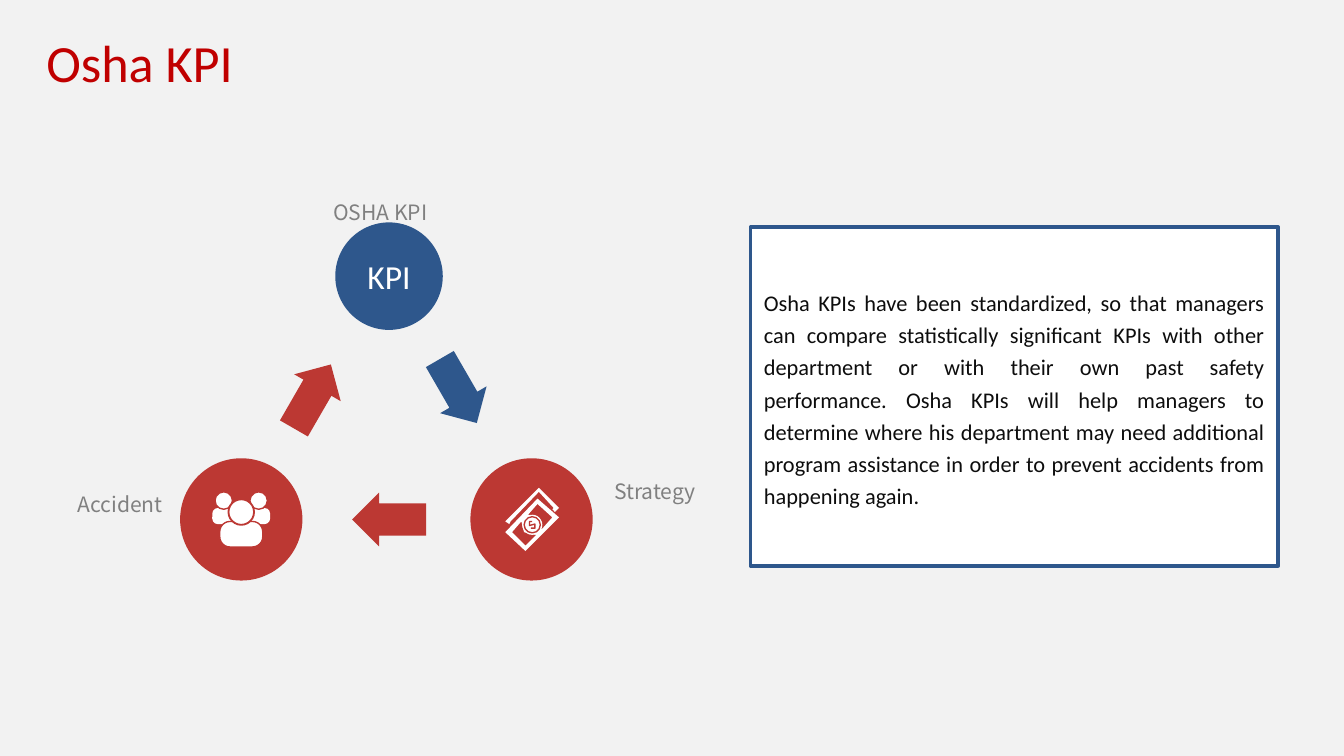
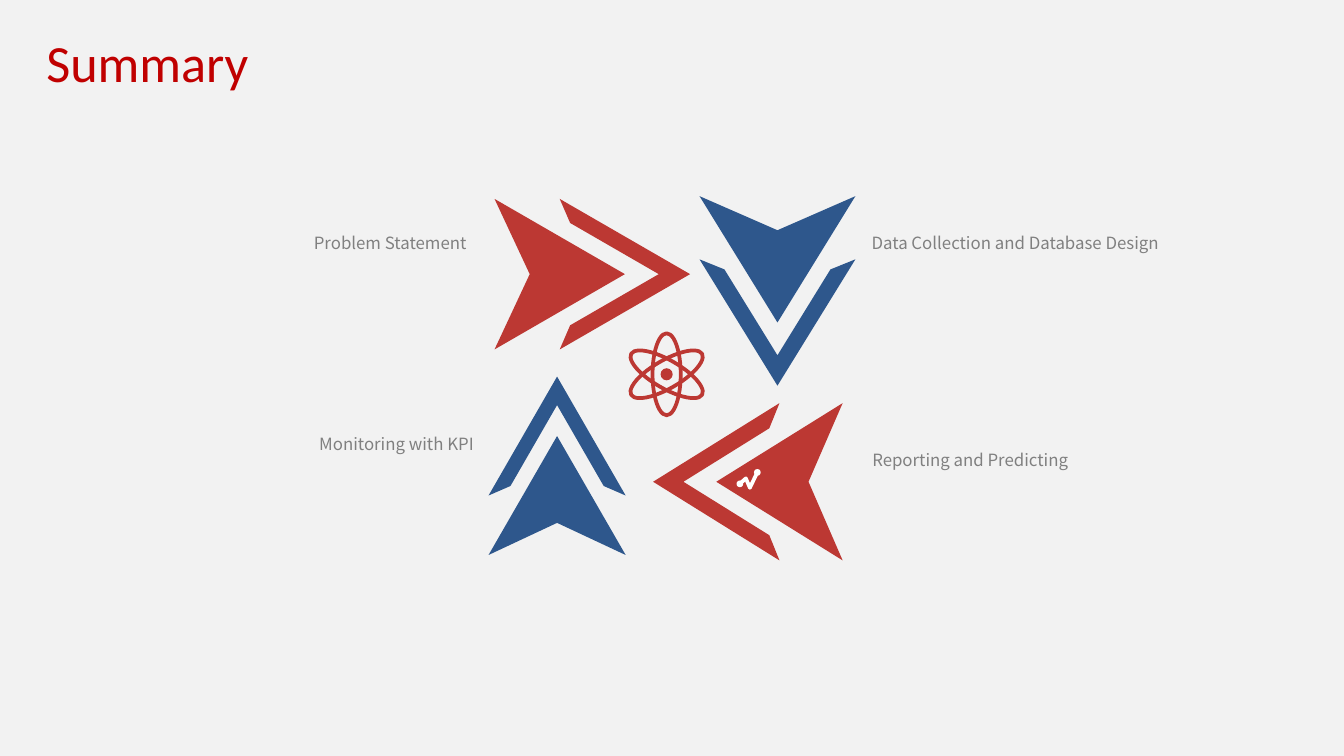
import math

import pptx
import pptx.dml.color
import pptx.enum.shapes
import pptx.enum.text
import pptx.util

RGBColor = pptx.dml.color.RGBColor
RED = RGBColor(0xBC, 0x38, 0x33)
BLUE = RGBColor(0x2E, 0x57, 0x8C)
TITLE_RED = RGBColor(0xC0, 0x00, 0x00)
GREY = RGBColor(0x80, 0x80, 0x80)
INK = RGBColor(0x0D, 0x0D, 0x0D)
WHITE = RGBColor(0xFF, 0xFF, 0xFF)
PAPER = RGBColor(0xF2, 0xF2, 0xF2)

MSO = pptx.enum.shapes.MSO_SHAPE
ALIGN = pptx.enum.text.PP_ALIGN
ANCHOR = pptx.enum.text.MSO_ANCHOR
Pt = pptx.util.Pt

COLS, ROWS = 100, 56.25
CELL = pptx.util.Inches(0.1)
HEADING, LABEL = "Calibri", "Noto Sans CJK SC"

# Along and across the pointing direction, as shares of head length and width
ARROWHEAD = [(0, -0.5), (1, 0), (0, 0.5), (0.27, 0)]
CHEVRON = [(0.5, -0.5), (0.58, -0.34), (1.26, 0), (0.58, 0.34), (0.5, 0.5), (1.5, 0)]


def grid(*cells):
    return [round(c * CELL) for c in cells]


def apply(target, values):
    for name, value in values.items():
        setattr(target, name, value)


class Deck:
    """Holds the style, the current slide and the shapes being drawn on."""

    def __init__(self):
        self.prs = pptx.Presentation()
        self.prs.slide_width, self.prs.slide_height = grid(COLS, ROWS)
        fill = self.prs.slide_master.background.fill
        fill.solid()
        fill.fore_color.rgb = PAPER

    def slide(self, title):
        self.s = self.prs.slides.add_slide(self.prs.slide_layouts[5])
        self.ungroup()
        sp = self.s.shapes.title
        self.place(sp, 2.45, 1.75, 34.7, 5.7)
        self.text(sp, title, HEADING, 28, TITLE_RED,
                  para=dict(alignment=ALIGN.LEFT),
                  frame=dict(vertical_anchor=ANCHOR.TOP))

    def group(self):
        self.shapes = self.s.shapes.add_group_shape().shapes

    def ungroup(self):
        self.shapes = self.s.shapes

    def place(self, sp, *box):
        apply(sp, dict(zip(("left", "top", "width", "height"), grid(*box))))

    def text(self, sp, text, font, size, color, para=None, frame=None):
        tf = sp.text_frame
        apply(tf, dict(auto_size=pptx.enum.text.MSO_AUTO_SIZE.NONE, word_wrap=True))
        apply(tf, frame or {})
        p = tf.paragraphs[0]
        apply(p, para or {})
        r = p.add_run()
        r.text = text
        apply(r.font, dict(name=font, size=Pt(size)))
        r.font.color.rgb = color

    def label(self, text, box, size, insets, **para):
        sp = self.shapes.add_textbox(*grid(*box))
        sides = ("margin_left", "margin_top", "margin_right", "margin_bottom")
        self.text(sp, text, LABEL, size, GREY, para, dict(zip(sides, grid(*insets))))

    def paint(self, sp, fill, line, width):
        sp.shadow.inherit = False
        for part, color in ((sp.fill, fill), (sp.line.fill, line)):
            if color is None:
                part.background()
            else:
                part.solid()
                part.fore_color.rgb = color
        if line is not None:
            sp.line.width = Pt(width)
        return sp

    def shape(self, kind, box, fill=None, line=None, width=1, turn=0, adjust=()):
        sp = self.shapes.add_shape(kind, *grid(*box))
        sp.rotation = turn
        for i, value in enumerate(adjust):
            sp.adjustments[i] = value
        return self.paint(sp, fill, line, width)

    def oval(self, x, y, w, h, fill=None, **style):
        """Ellipse given by its centre."""
        return self.shape(MSO.OVAL, (x - w / 2, y - h / 2, w, h), fill, **style)

    def outline(self, *contours, fill=None, line=None, width=1, close=True):
        """Freeform; contours after the first cut holes."""
        builder = None
        for contour in contours:
            start, *rest = [grid(*point) for point in contour]
            if builder is None:
                builder = self.shapes.build_freeform(*start, scale=1.0)
            else:
                builder.move_to(*start)
            builder.add_line_segments(rest, close=close)
        return self.paint(builder.convert_to_shape(), fill, line, width)

    def double_arrow(self, x, y, length, across, angle, color):
        """Arrowhead followed by a chevron, from the middle of the tail."""
        c, s = math.cos(math.radians(angle)), math.sin(math.radians(angle))
        self.group()
        for profile in (ARROWHEAD, CHEVRON):
            self.outline([(x + a * length * c - b * across * s,
                           y + a * length * s + b * across * c)
                          for a, b in profile], fill=color)

    def people(self, x, y):
        """Three busts around the middle of the icon."""
        for side in (-1, 1):
            self.shape(MSO.ROUNDED_RECTANGLE, (x + side * 1.3 - 0.85, y - 0.9, 1.7, 1.2),
                       WHITE, adjust=[0.35])
            self.oval(x + side * 1.3, y - 1.45, 1.3, 1.3, WHITE, line=RED, width=0.75)
        self.shape(MSO.ROUNDED_RECTANGLE, (x - 1.6, y + 0.1, 3.2, 1.9),
                   WHITE, line=RED, width=0.75, adjust=[0.4])
        self.oval(x, y - 0.6, 1.9, 1.9, WHITE, line=RED, width=1)

    def banknotes(self):
        self.outline([(37.6, 38.8), (37.9, 39), (38, 38.8), (40.1, 36.6), (41.2, 37.8),
                      (41.1, 37.9), (41.3, 38.1), (41.6, 37.8), (40.1, 36.3)], fill=WHITE)
        self.outline([(39.1, 41), (41.6, 38.5), (40, 37.1), (37.6, 39.6)],
                     [(40, 37.5), (41.1, 38.5), (40.3, 39.4), (40.1, 38.5), (39.3, 38.3)],
                     [(38.1, 39.6), (38.8, 38.8), (39, 39.6), (39.9, 39.8), (39.1, 40.6)],
                     fill=WHITE)
        self.oval(39.6, 39.05, 1.5, 1.5, WHITE)
        self.oval(39.6, 39.05, 1.2, 1.2, WHITE, line=RED, width=0.75)
        self.outline([(39.6, 38.8), (39.4, 38.8), (39.4, 39.1), (39.8, 39),
                      (39.8, 39.3), (39.5, 39.3)], line=RED, width=0.75, close=False)

    def atom(self, x, y):
        self.group()
        for turn in (0, 60, 120):
            self.oval(x, y, 2.1, 6.1, line=RED, width=2, turn=turn)
        self.oval(x, y, 0.9, 0.9, RED)

    def trend(self, points):
        self.outline(points, line=WHITE, width=2, close=False)
        for x, y in (points[0], points[-1]):
            self.oval(x, y, 0.5, 0.5, WHITE)


def kpi_slide(deck):
    deck.slide("Osha KPI")
    for x, y, turn, color in ((34.1, 29.1, 60, BLUE), (28.95, 38.65, 180, RED),
                              (23.25, 29.5, 300, RED)):
        deck.shape(MSO.RIGHT_ARROW, (x - 2.75, y - 2, 5.5, 4), color,
                   turn=turn, adjust=[0.6, 0.5])
    deck.group()
    deck.oval(17.95, 38.65, 9.1, 9.1, RED)
    deck.people(17.95, 38.7)
    deck.group()
    deck.oval(39.55, 38.65, 9.1, 9.1, RED)
    deck.banknotes()
    deck.ungroup()
    for text, box, left, right, align in (
            ("Strategy", (41.8, 35.1, 12.6, 2.5), 3.9, 1, ALIGN.LEFT),
            ("OSHA KPI", (23.8, 14.35, 10.3, 2.5), 1, 1, ALIGN.LEFT),
            ("Accident", (3.4, 36.1, 12.6, 2.5), 1, 3.9, ALIGN.RIGHT)):
        deck.label(text, box, 11.25, (left, 0.5, right, 0.5), alignment=align)
    sp = deck.oval(28.95, 20.55, 8, 8, BLUE)
    deck.text(sp, "KPI", HEADING, 18, WHITE, dict(alignment=ALIGN.CENTER),
              dict(vertical_anchor=ANCHOR.MIDDLE, word_wrap=False))
    sp = deck.shape(MSO.RECTANGLE, (55.85, 16.9, 39.25, 25.2), WHITE, line=BLUE, width=2)
    deck.text(sp, "Osha KPIs have been standardized, so that managers can compare "
              "statistically significant KPIs with other department or with their own "
              "past safety performance. Osha KPIs will help managers to determine where "
              "his department may need additional program assistance in order to prevent "
              "accidents from happening again.", HEADING, 12, INK,
              dict(alignment=ALIGN.JUSTIFY, line_spacing=1.2),
              dict(vertical_anchor=ANCHOR.MIDDLE))


def summary_slide(deck):
    deck.slide("Summary")
    deck.double_arrow(36.8, 20.4, 9.7, 11.2, 0, RED)
    deck.atom(49.6, 27.85)
    deck.double_arrow(41.45, 41.3, 8.85, 10.2, 270, BLUE)
    deck.double_arrow(62.7, 35.85, 9.4, 11.7, 180, RED)
    deck.trend([(55.05, 36), (55.5, 35.6), (55.8, 36.3), (56.35, 35.15)])
    deck.double_arrow(57.85, 14.6, 9.4, 11.6, 90, BLUE)
    deck.ungroup()
    for text, x, y, w in (("Problem Statement", 22.65, 16.45, 21.9),
                          ("Monitoring with KPI", 23.05, 31.4, 21.9),
                          ("Reporting and Predicting", 64.2, 32.6, 23.2),
                          ("Data Collection and Database Design", 64.15, 16.45, 25.6)):
        deck.label(text, (x, y, w, 2.5), 9, (0.7, 0.4, 0.7, 0.4),
                   alignment=ALIGN.JUSTIFY, line_spacing=1.3)


def main():
    deck = Deck()
    kpi_slide(deck)
    summary_slide(deck)
    deck.prs.save("out.pptx")


if __name__ == "__main__":
    main()
